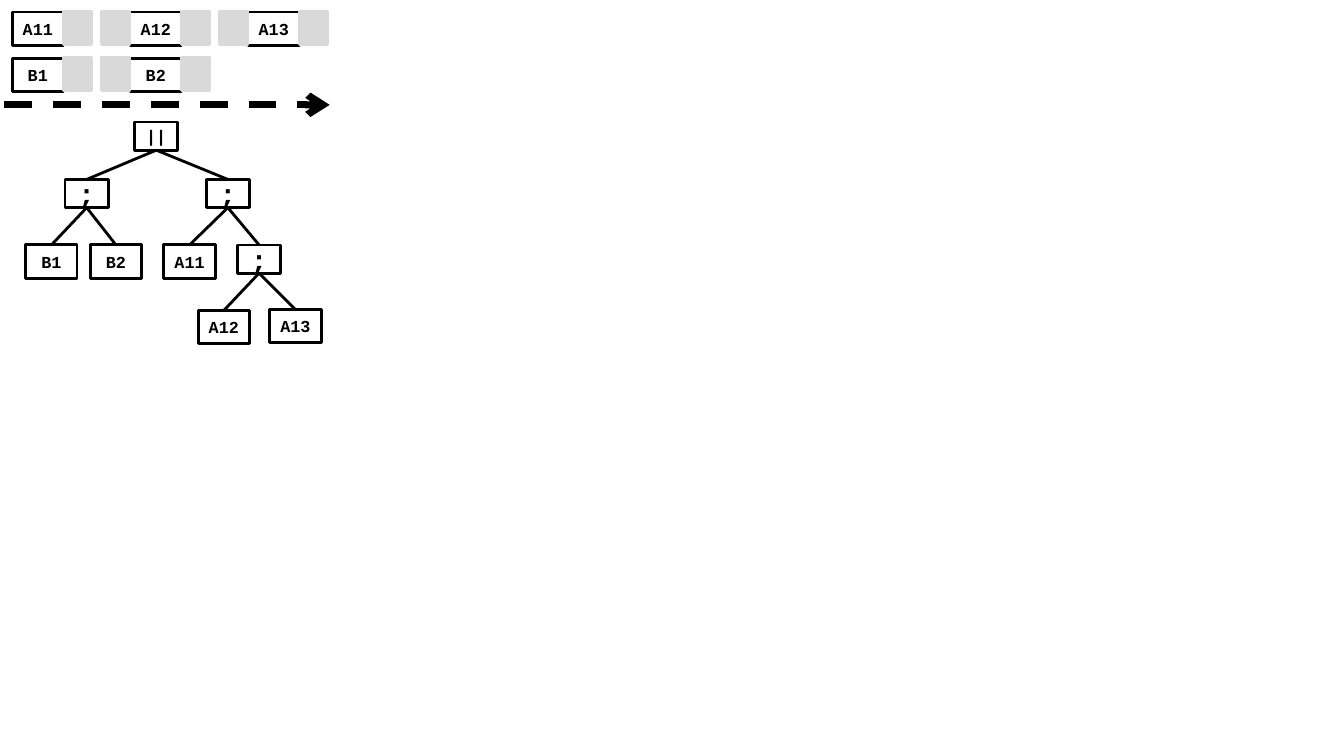
from lxml import etree
from pptx import Presentation
from pptx.dml.color import RGBColor
from pptx.enum.dml import MSO_LINE
from pptx.enum.shapes import MSO_CONNECTOR, MSO_SHAPE
from pptx.enum.text import MSO_ANCHOR, PP_ALIGN
from pptx.oxml.ns import qn
from pptx.util import Inches, Pt

RECTANGLE = MSO_SHAPE.RECTANGLE
STRAIGHT = MSO_CONNECTOR.STRAIGHT
DASH = MSO_LINE.DASH
MIDDLE = MSO_ANCHOR.MIDDLE
CENTER = PP_ALIGN.CENTER

COLORS = {"ink": "000000", "gap": "D9D9D9"}
FONT = "Courier New"
TASK_SIZE = (0.51, 0.33)
OPERATOR_SIZE = (0.43, 0.28)
GAP_WIDTH = 0.28
TASK_PITCH = 1.17

# name: (label, centre, top, parent)
TREE = {
    "parallel": ("||", 1.29, 0, None),
    "sequence B": (";", 0.6, 0.57, "parallel"),
    "sequence A": (";", 2, 0.57, "parallel"),
    "B1": ("B1", 0.25, 1.22, "sequence B"),
    "B2": ("B2", 0.89, 1.22, "sequence B"),
    "A11": ("A11", 1.62, 1.22, "sequence A"),
    "sequence A1": (";", 2.31, 1.22, "sequence A"),
    "A12": ("A12", 1.96, 1.87, "sequence A1"),
    "A13": ("A13", 2.67, 1.86, "sequence A1"),
}


def color(name):
    """Return the named colour."""
    return RGBColor.from_string(COLORS[name])


def add_box(slide, left, top, size, line, fill=None):
    """Add a rectangle with a two-point outline."""
    shape = slide.shapes.add_shape(
        RECTANGLE, Inches(left), Inches(top), Inches(size[0]), Inches(size[1]))
    shape.shadow.inherit = False
    shape.line.color.rgb = color(line)
    shape.line.width = Pt(2)
    if fill:
        shape.fill.solid()
        shape.fill.fore_color.rgb = color(fill)
    else:
        shape.fill.background()
    return shape


def add_node(slide, left, top, size, label):
    """Add an outlined box with a centred label."""
    frame = add_box(slide, left, top, size, "ink").text_frame
    frame.vertical_anchor = MIDDLE
    paragraph = frame.paragraphs[0]
    paragraph.alignment = CENTER
    run = paragraph.add_run()
    run.text = label
    run.font.name = FONT
    run.font.size = Pt(20 if label == ";" else 12)
    run.font.bold = True
    run.font.color.rgb = color("ink")


def add_line(slide, start, end, width=2):
    """Add a straight line without a shadow."""
    connector = slide.shapes.add_connector(
        STRAIGHT, *(Inches(value) for value in (*start, *end)))
    connector.line.color.rgb = color("ink")
    connector.line.width = Pt(width)
    etree.SubElement(connector._element.spPr, qn("a:effectLst"))
    return connector


def add_task_row(slide, left, top, labels):
    """Add evenly spaced tasks with grey gaps between and after them."""
    for index, label in enumerate(labels):
        task_left = left + index * TASK_PITCH
        add_node(slide, task_left, top, TASK_SIZE, label)
        gap_lefts = [task_left + TASK_SIZE[0]]
        if index and label != "":
            gap_lefts.append(task_left - GAP_WIDTH)
        for gap_left in gap_lefts:
            add_box(slide, gap_left, top - 0.01, (GAP_WIDTH, TASK_SIZE[1]), "gap", "gap")


def add_time_arrow(slide, left, top, width):
    """Add the dashed time axis with an open arrowhead."""
    line = add_line(slide, (left, top), (left + width, top), 5).line
    line.dash_style = DASH
    etree.SubElement(line._get_or_add_ln(), qn("a:tailEnd"), type="arrow")


def add_tree(slide, left, top, nodes):
    """Add the operator tree and the edges from parents to children."""
    for label, center, offset, _ in nodes.values():
        size = TASK_SIZE if label.isalnum() else OPERATOR_SIZE
        add_node(slide, left + center - size[0] / 2, top + offset, size, label)
    for _, center, offset, parent in nodes.values():
        if parent:
            _, parent_center, parent_offset, _ = nodes[parent]
            start = (left + parent_center, top + parent_offset + OPERATOR_SIZE[1])
            add_line(slide, start, (left + center, top + offset))


def main():
    """Build and save the presentation."""
    presentation = Presentation()
    presentation.slide_width = Inches(13.33)
    presentation.slide_height = Inches(7.5)
    slide = presentation.slides.add_slide(presentation.slide_layouts[6])
    add_task_row(slide, 0.12, 0.12, ["A11", "A12", "A13"])
    add_task_row(slide, 0.12, 0.58, ["B1", "B2"])
    add_time_arrow(slide, 0.04, 1.04, 3.23)
    add_tree(slide, 0.26, 1.21, TREE)
    presentation.save("out.pptx")


main()
